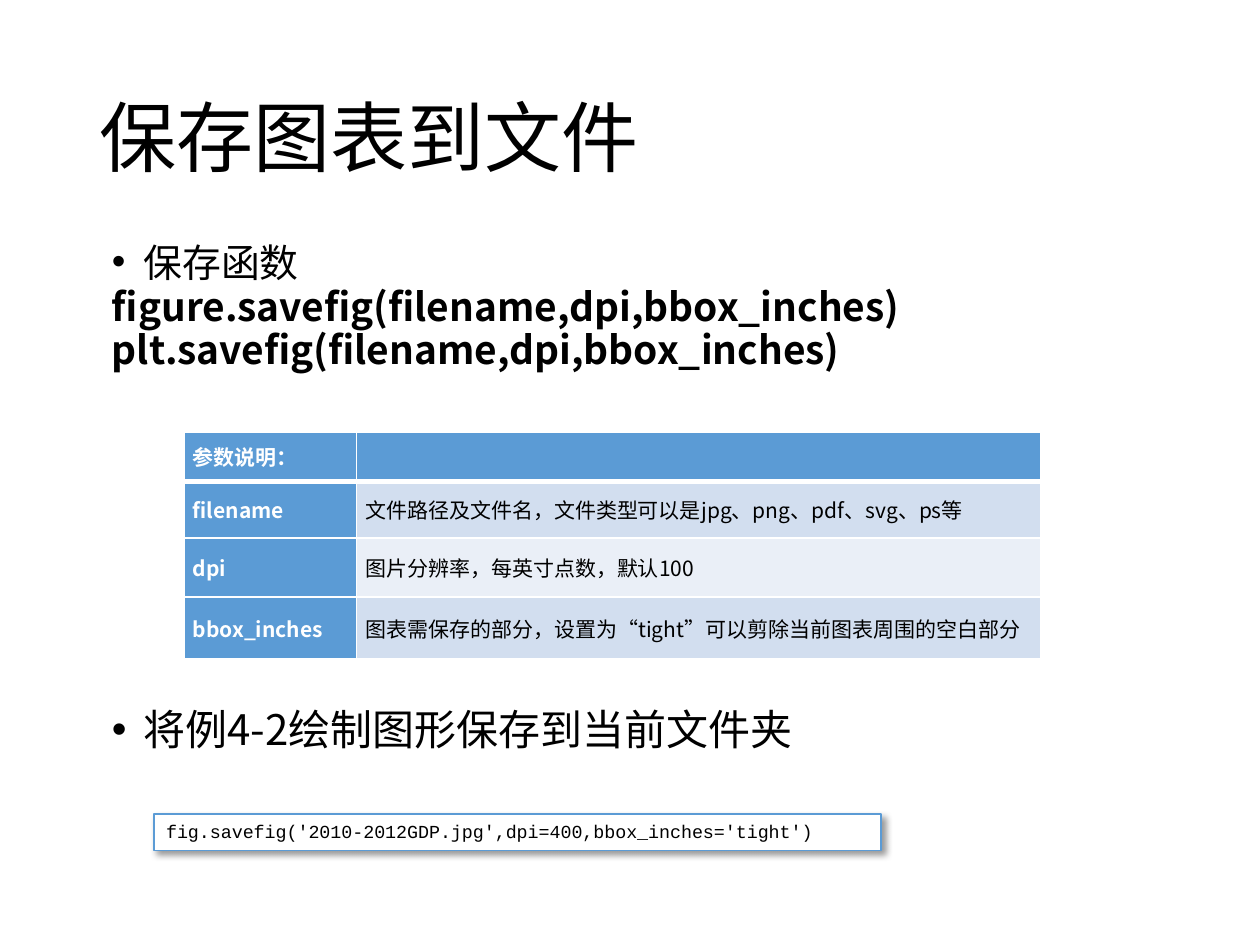
from lxml import etree
from pptx import Presentation
from pptx.dml.color import RGBColor
from pptx.enum.shapes import MSO_SHAPE
from pptx.enum.text import MSO_ANCHOR, MSO_AUTO_SIZE, PP_ALIGN
from pptx.oxml import parse_xml
from pptx.oxml.ns import nsdecls, qn
from pptx.util import Inches, Pt

RECTANGLE = MSO_SHAPE.RECTANGLE
TOP, MIDDLE = MSO_ANCHOR.TOP, MSO_ANCHOR.MIDDLE
GROW = MSO_AUTO_SIZE.SHAPE_TO_FIT_TEXT
LEFT, JUSTIFY = PP_ALIGN.LEFT, PP_ALIGN.JUSTIFY

THEME = {
    "black": RGBColor.from_string("000000"),
    "white": RGBColor.from_string("FFFFFF"),
    "blue": RGBColor.from_string("5B9BD5"),
    "band": RGBColor.from_string("D2DEEF"),
    "pale": RGBColor.from_string("EAEFF7"),
    "body": "Noto Sans CJK SC",
    "code": "Courier New",
    "title_size": Pt(44),
    "function_size": Pt(22.2),
    "task_size": Pt(24),
    "table_size": Pt(12),
    "code_size": Pt(10.5),
}


def write(para, text, size, color="black", bold=False, font="body", indent=(0, 0), bullet=False, **formats):
    for name, value in formats.items():
        setattr(para, name, value)
    properties = para._p.get_or_add_pPr()
    properties.set("marL", str(Inches(indent[0])))
    properties.set("indent", str(Inches(indent[1])))
    if bullet:
        etree.SubElement(properties, qn("a:buFont")).set("typeface", "Arial")
        etree.SubElement(properties, qn("a:buChar")).set("char", "•")
    if not text:
        return
    span = para.add_run()
    span.text = text
    for name, value in {"size": THEME[size], "bold": bold, "name": THEME[font]}.items():
        setattr(span.font, name, value)
    span.font.color.rgb = THEME[color]
    etree.SubElement(span._r.get_or_add_rPr(), qn("a:ea")).set("typeface", THEME[font])


def add_text(page, position, anchor, lines):
    box = page.shapes.add_textbox(*map(Inches, position))
    frame = box.text_frame
    frame.word_wrap = True
    frame.vertical_anchor = anchor
    for index, line in enumerate(lines):
        para = frame.add_paragraph() if index else frame.paragraphs[0]
        write(para, **line)


deck = Presentation()
deck.slide_width, deck.slide_height = Inches(10), Inches(7.5)
page = deck.slides.add_slide(deck.slide_layouts[6])

add_text(page, (0.69, 0.4, 8.62, 1.45), MIDDLE, [
    {"text": "保存图表到文件", "size": "title_size", "line_spacing": 0.9},
])

function_format = {"size": "function_size", "line_spacing": 0.7, "space_before": Pt(6)}
bullet_format = {"bullet": True, "indent": (0.75, -0.25)}
signature_format = {"bold": True, "indent": (0.5, 0)}
add_text(page, (0.29, 1.95, 8.43, 1.11), TOP, [
    {"text": "保存函数", **function_format, **bullet_format},
    {"text": "figure.savefig(filename,dpi,bbox_inches)", **function_format, **signature_format},
    {"text": "plt.savefig(filename,dpi,bbox_inches)", **function_format, **signature_format},
])

parameters = [
    ("参数说明：", "", "blue"),
    ("filename", "文件路径及文件名，文件类型可以是jpg、png、pdf、svg、ps等", "band"),
    ("dpi", "图片分辨率，每英寸点数，默认100", "pale"),
    ("bbox_inches", "图表需保存的部分，设置为“tight”可以剪除当前图表周围的空白部分", "band"),
]
column_widths = [1.37, 5.43]
row_heights = [0.39, 0.45, 0.47, 0.49]
frame = page.shapes.add_table(4, 2, Inches(1.46), Inches(3.43), Inches(6.8), Inches(1.8))
table = frame.table
for column, width in zip(table.columns, column_widths):
    column.width = Inches(width)
cell_format = {
    "margin_left": Inches(0.07),
    "margin_right": Inches(0.07),
    "margin_top": 0,
    "margin_bottom": 0,
    "vertical_anchor": MIDDLE,
}
for row_index, (label, description, fill) in enumerate(parameters):
    table.rows[row_index].height = Inches(row_heights[row_index])
    for column_index, text in enumerate((label, description)):
        cell = table.cell(row_index, column_index)
        for name, value in cell_format.items():
            setattr(cell, name, value)
        is_label = column_index == 0
        write(cell.text_frame.paragraphs[0], text, "table_size", "white" if is_label else "black",
              is_label, alignment=JUSTIFY)
        borders = {"L": 1, "R": 1, "T": 3 if row_index == 1 else 1, "B": 3 if row_index == 0 else 1}
        for side, width in borders.items():
            cell._tc.get_or_add_tcPr().append(parse_xml(
                f'<a:ln{side} {nsdecls("a")} w="{Pt(width)}"><a:solidFill>'
                f'<a:srgbClr val="{THEME["white"]}"/></a:solidFill></a:ln{side}>'))
        cell.fill.solid()
        cell.fill.fore_color.rgb = THEME["blue" if is_label else fill]

add_text(page, (0.29, 5.58, 8.43, 0.62), TOP, [
    {"text": "将例4-2绘制图形保存到当前文件夹", "size": "task_size", "line_spacing": 0.9,
     "space_before": Pt(5), **bullet_format},
])

code_box = page.shapes.add_shape(RECTANGLE, Inches(1.22), Inches(6.46), Inches(5.77), Inches(0.29))
code_box.fill.solid()
code_box.fill.fore_color.rgb = THEME["white"]
code_box.line.color.rgb = THEME["blue"]
code_box.line.width = Pt(1)
code_box._element.spPr.append(parse_xml(
    f'<a:effectLst {nsdecls("a")}><a:outerShdw blurRad="{Pt(4)}" dist="{Pt(3)}" dir="2700000" '
    f'algn="tl" rotWithShape="0"><a:srgbClr val="{THEME["black"]}"><a:alpha val="40000"/>'
    '</a:srgbClr></a:outerShdw></a:effectLst>'))
code_frame = code_box.text_frame
for name, value in {"word_wrap": True, "auto_size": GROW, "vertical_anchor": TOP}.items():
    setattr(code_frame, name, value)
write(code_frame.paragraphs[0], "fig.savefig('2010-2012GDP.jpg',dpi=400,bbox_inches='tight')",
      "code_size", font="code", indent=(0.49, -0.49), alignment=LEFT)

deck.save("out.pptx")
